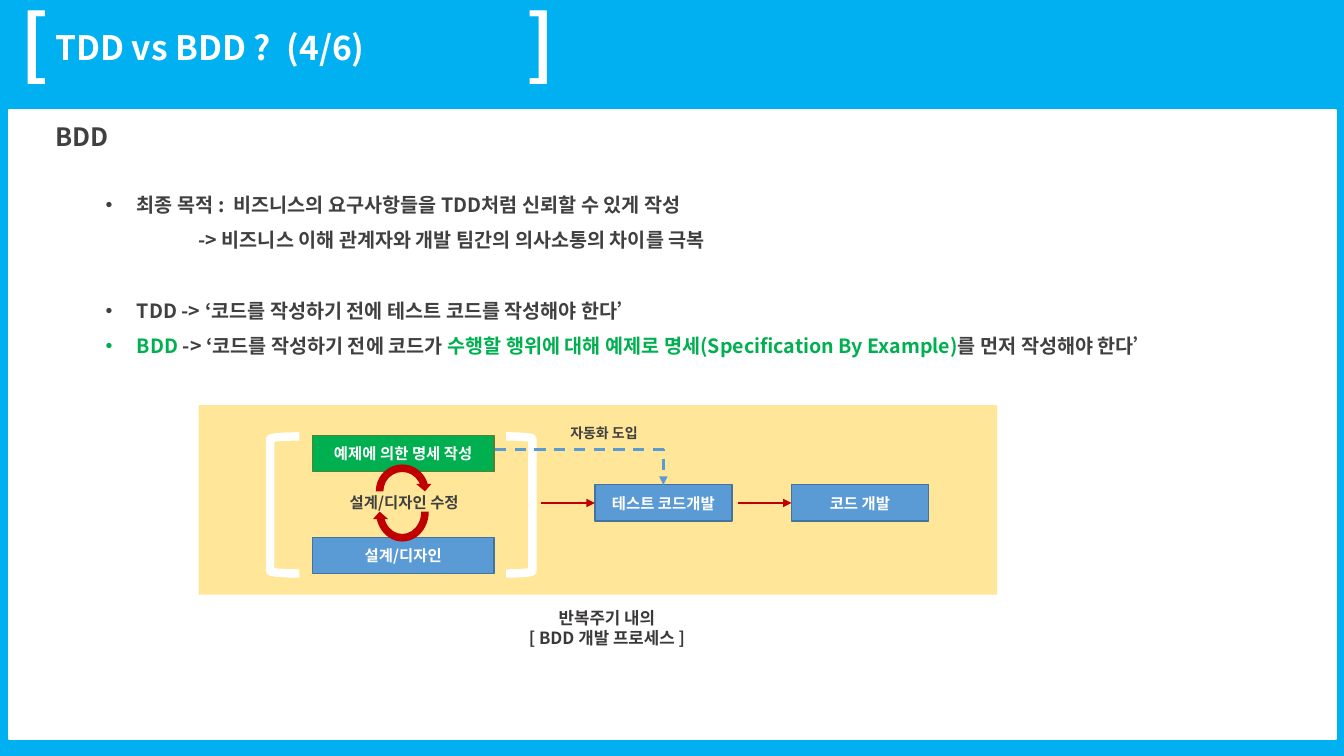
from lxml.etree import SubElement
from pptx import Presentation
from pptx.dml.color import RGBColor
from pptx.enum.dml import MSO_LINE
from pptx.enum.shapes import MSO_CONNECTOR as Connector, MSO_SHAPE as Shape
from pptx.enum.text import MSO_ANCHOR as Anchor, PP_ALIGN as Align
from pptx.oxml.ns import qn
from pptx.util import Inches, Pt

# Theme
THEME = {
    "font": "Noto Sans CJK KR",
    "sky": "00B0F0", "white": "FFFFFF", "text": "404040", "caption": "3B3838",
    "green": "00B050", "green_edge": "548235", "blue": "5B9BD5",
    "blue_edge": "43739E", "red": "C00000", "panel": "FFE699",
    "title": 24, "bracket": 54, "heading": 18, "body": 14,
    "note": 12, "box": 11, "small": 10,
}

# Content
TITLE = "TDD vs BDD ?  (4/6)"
TITLE_BRACKETS = [("[", (0.09, 0.06, 0.51, 0.86)), ("]", (5.04, 0.06, 0.65, 0.86))]
HEADING = "BDD"
# Body lines: runs of (text, colour), bulleted, space before in points
BODY = [
    ([("최종 목적 :  비즈니스의 요구사항들을 TDD처럼 신뢰할 수 있게 작성", "text")], True, 21.6),
    ([("-> 비즈니스 이해 관계자와 개발 팀간의 의사소통의 차이를 극복", "text")], False, 0),
    ([("TDD -> ‘코드를 작성하기 전에 테스트 코드를 작성해야 한다’", "text")], True, 25.2),
    ([("BDD", "green"),
      (" -> ‘코드를 작성하기 전에 코드가 ", "text"),
      ("수행할 행위에 대해 예제로 명세(Specification By Example)", "green"),
      ("를 먼저 작성해야 한다’", "text")], True, 0),
]
BULLET_INDENT, BULLET_HANG, CONTINUATION_INDENT = 0.81, 0.31, 1.42
# Process steps: text, left, top, width, fill, edge
STEP_HEIGHT = 0.36
STEPS = [
    ("설계/디자인", 3.1, 5.33, 1.8, "blue", "blue_edge"),
    ("예제에 의한 명세 작성", 3.1, 4.32, 1.8, "green", "green_edge"),
    ("테스트 코드개발", 5.9, 4.81, 1.36, "blue", "blue_edge"),
    ("코드 개발", 7.85, 4.81, 1.36, "blue", "blue_edge"),
]
# Labels: lines, area, colour, size
LABELS = [
    (["반복주기 내의", "[ BDD 개발 프로세스 ]"], (3.26, 5.98, 5.52, 0.5), "caption", "note"),
    (["설계/디자인 수정"], (2.88, 4.84, 2.26, 0.29), "text", "box"),
    (["자동화 도입"], (5.28, 4.16, 1.42, 0.27), "text", "small"),
]
STEP_ARROWS = [5.9, 7.85]
ARROW_LENGTH, ARROW_Y = 0.53, 4.99
CYCLE_ARROWS = [((3.69, 4.57, 0.6, 0.61), 0), ((3.69, 4.74, 0.6, 0.67), 180)]
GROUP_BRACKETS = [(Shape.LEFT_BRACKET, (2.68, 4.33, 0.29, 1.36)),
                  (Shape.RIGHT_BRACKET, (5.02, 4.33, 0.26, 1.36))]


def color(name):
    return RGBColor.from_string(THEME[name])


def style(paragraph, size, color_name, align=Align.LEFT):
    paragraph.alignment = align
    font = paragraph.font
    font.size, font.bold, font.name = Pt(THEME[size]), True, THEME["font"]
    font.color.rgb = color(color_name)
    SubElement(font._element, qn("a:ea")).set("typeface", THEME["font"])


def write(shape, lines, size, color_name, align=Align.CENTER, anchor=Anchor.TOP, spacing=None):
    frame = shape.text_frame
    frame.word_wrap, frame.vertical_anchor = True, anchor
    frame.text = "\n".join(lines)
    for paragraph in frame.paragraphs:
        style(paragraph, size, color_name, align)
        if spacing:
            paragraph.line_spacing = spacing


def add_text(area, *args, **options):
    textbox = slide.shapes.add_textbox(*map(Inches, area))
    write(textbox, *args, **options)
    return textbox


def add_shape(kind, area, fill=None, edge=None, width=1):
    shape = slide.shapes.add_shape(kind, *map(Inches, area))
    shape.shadow.inherit = False
    if fill:
        shape.fill.solid()
        shape.fill.fore_color.rgb = color(fill)
    else:
        shape.fill.background()
    if edge:
        shape.line.color.rgb, shape.line.width = color(edge), Pt(width)
    else:
        shape.line.fill.background()
    return shape


def add_arrow(kind, start, end, color_name, dash=None):
    arrow = slide.shapes.add_connector(kind, *map(Inches, start + end))
    arrow.line.color.rgb, arrow.line.width = color(color_name), Pt(2)
    if dash:
        arrow.line.dash_style = dash
    properties = arrow._element.spPr
    SubElement(properties.find(qn("a:ln")), qn("a:tailEnd")).set("type", "triangle")
    SubElement(properties, qn("a:effectLst"))
    return arrow


def add_body_line(frame, runs, bulleted, before):
    paragraph = frame.add_paragraph()
    paragraph.level, paragraph.line_spacing = 1, 1.5
    paragraph.space_before = Pt(before)
    properties = paragraph._element.get_or_add_pPr()
    properties.set("marL", str(Inches(BULLET_INDENT if bulleted else CONTINUATION_INDENT)))
    properties.set("indent", str(-Inches(BULLET_HANG) if bulleted else 0))
    if bulleted:
        bullet_color = SubElement(properties, qn("a:buClr"))
        SubElement(bullet_color, qn("a:srgbClr")).set("val", THEME[runs[0][1]])
        SubElement(properties, qn("a:buFont")).set("typeface", "Arial")
        SubElement(properties, qn("a:buChar")).set("char", "•")
    style(paragraph, "body", "text")
    for text, color_name in runs:
        run = paragraph.add_run()
        run.text = text
        if color_name != "text":
            run.font.color.rgb = color(color_name)


presentation = Presentation()
presentation.slide_width, presentation.slide_height = Inches(13.33), Inches(7.5)
slide = presentation.slides.add_slide(presentation.slide_layouts[6])
slide.background.fill.solid()
slide.background.fill.fore_color.rgb = color("sky")

# Page and body text
add_shape(Shape.RECTANGLE, (0.09, 1.09, 13.16, 6.24), "white", "white")
body = add_text((0.45, 1.15, 12.61, 5.86), [HEADING], "heading", "text", Align.LEFT)
for line in BODY:
    add_body_line(body.text_frame, *line)

# Title between brackets
add_text((0.45, 0.06, 8.97, 0.86), [TITLE], "title", "white", Align.LEFT, Anchor.MIDDLE, 0.9)
for mark, area in TITLE_BRACKETS:
    add_text(area, [mark], "bracket", "white", anchor=Anchor.MIDDLE, spacing=0.8)

# Process panel, steps and labels
add_shape(Shape.RECTANGLE, (1.97, 4.02, 7.92, 1.88), "panel")
for text, left, top, width, fill, edge in STEPS:
    step = add_shape(Shape.RECTANGLE, (left, top, width, STEP_HEIGHT), fill, edge)
    write(step, [text], "box", "white", anchor=Anchor.MIDDLE)
for lines, area, color_name, size in LABELS:
    add_text(area, lines, size, color_name)

# Arrows and brackets
for tip in STEP_ARROWS:
    add_arrow(Connector.STRAIGHT, (tip - ARROW_LENGTH, ARROW_Y), (tip, ARROW_Y), "red")
for area, rotation in CYCLE_ARROWS:
    add_shape(Shape.CIRCULAR_ARROW, area, "red").rotation = rotation
for kind, area in GROUP_BRACKETS:
    add_shape(kind, area, edge="white", width=6)
automation = add_arrow(Connector.ELBOW, (4.91, 4.46), (6.58, 4.81), "blue", MSO_LINE.DASH)
automation._element.spPr.find(qn("a:prstGeom")).set("prst", "bentConnector2")

presentation.save("out.pptx")
